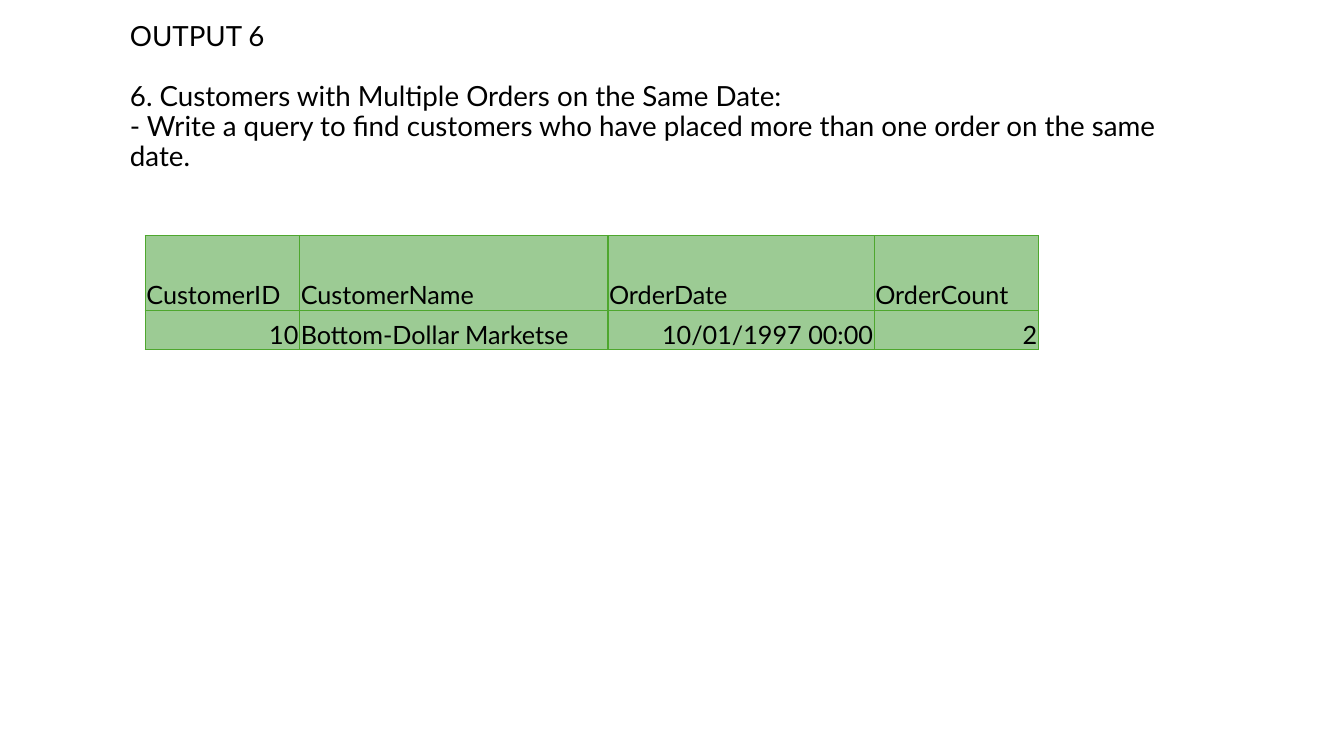
import pptx
import pptx.dml.color
import pptx.enum.text
import pptx.oxml
import pptx.oxml.ns
import pptx.util

Cm, Pt = pptx.util.Cm, pptx.util.Pt
RGBColor = pptx.dml.color.RGBColor
PP_ALIGN = pptx.enum.text.PP_ALIGN
MSO_ANCHOR = pptx.enum.text.MSO_ANCHOR

# Content: title lines as (text, space before in points)
TITLE_LINES = [
    ("OUTPUT 6", 0),
    ("6. Customers with Multiple Orders on the Same Date:", 21.4),
    ("- Write a query to find customers who have placed more than one order "
     "on the same date.", 0),
]
ROWS = [
    ("CustomerID", "CustomerName", "OrderDate", "OrderCount"),
    ("10", "Bottom-Dollar Marketse", "10/01/1997 00:00", "2"),
]
NUMERIC_COLUMNS = {0, 2, 3}
COLUMN_WIDTHS = [3.89, 7.77, 6.71, 4.14]
ROW_HEIGHTS = [1.88, 0.99]
COLORS = {"text": "000000", "fill": "9CCB94", "border": "4EA72E"}
FONT = "Lato"


def format_font(paragraph, size):
    paragraph.font.name = FONT
    paragraph.font.size = Pt(size)
    paragraph.font.bold = False
    paragraph.font.color.rgb = RGBColor.from_string(COLORS["text"])


def add_borders(cell):
    properties = cell._tc.get_or_add_tcPr()
    for side in ("lnL", "lnR", "lnT", "lnB"):
        properties.append(pptx.oxml.parse_xml(
            f'<a:{side} {pptx.oxml.ns.nsdecls("a")} w="{Pt(1)}"><a:solidFill>'
            f'<a:srgbClr val="{COLORS["border"]}"/></a:solidFill></a:{side}>'))


def add_title(slide):
    title = slide.shapes.title
    title.left, title.top = Cm(3.02), Cm(0.56)
    title.width, title.height = Cm(27.43), Cm(5)
    frame = title.text_frame
    frame.word_wrap = True
    frame.auto_size = pptx.enum.text.MSO_AUTO_SIZE.NONE
    frame.vertical_anchor = MSO_ANCHOR.TOP
    frame.margin_top = 0
    frame.text = "\n".join(text for text, _ in TITLE_LINES)
    for paragraph, (_, space_before) in zip(frame.paragraphs, TITLE_LINES):
        paragraph.alignment = PP_ALIGN.LEFT
        paragraph.line_spacing = 0.9
        paragraph.space_before = Pt(space_before)
        format_font(paragraph, 19.8)


def add_result_table(slide):
    table = slide.shapes.add_table(
        len(ROWS), len(COLUMN_WIDTHS), Cm(3.66), Cm(5.94),
        Cm(sum(COLUMN_WIDTHS)), Cm(sum(ROW_HEIGHTS))).table
    table.first_row = table.horz_banding = False
    for column, width in zip(table.columns, COLUMN_WIDTHS):
        column.width = Cm(width)
    for row, height in zip(table.rows, ROW_HEIGHTS):
        row.height = Cm(height)

    for row_index, values in enumerate(ROWS):
        for column_index, value in enumerate(values):
            cell = table.cell(row_index, column_index)
            cell.text = value
            cell.vertical_anchor = MSO_ANCHOR.BOTTOM
            cell.margin_left = cell.margin_right = cell.margin_top = Cm(0.03)
            cell.margin_bottom = 0
            add_borders(cell)
            cell.fill.solid()
            cell.fill.fore_color.rgb = RGBColor.from_string(COLORS["fill"])
            paragraph = cell.text_frame.paragraphs[0]
            is_number = row_index > 0 and column_index in NUMERIC_COLUMNS
            paragraph.alignment = PP_ALIGN.RIGHT if is_number else PP_ALIGN.LEFT
            format_font(paragraph, 18)


def main():
    presentation = pptx.Presentation()
    presentation.slide_width, presentation.slide_height = Cm(33.87), Cm(19.05)
    slide = presentation.slides.add_slide(presentation.slide_layouts[5])
    add_title(slide)
    add_result_table(slide)
    presentation.save("out.pptx")


if __name__ == "__main__":
    main()
